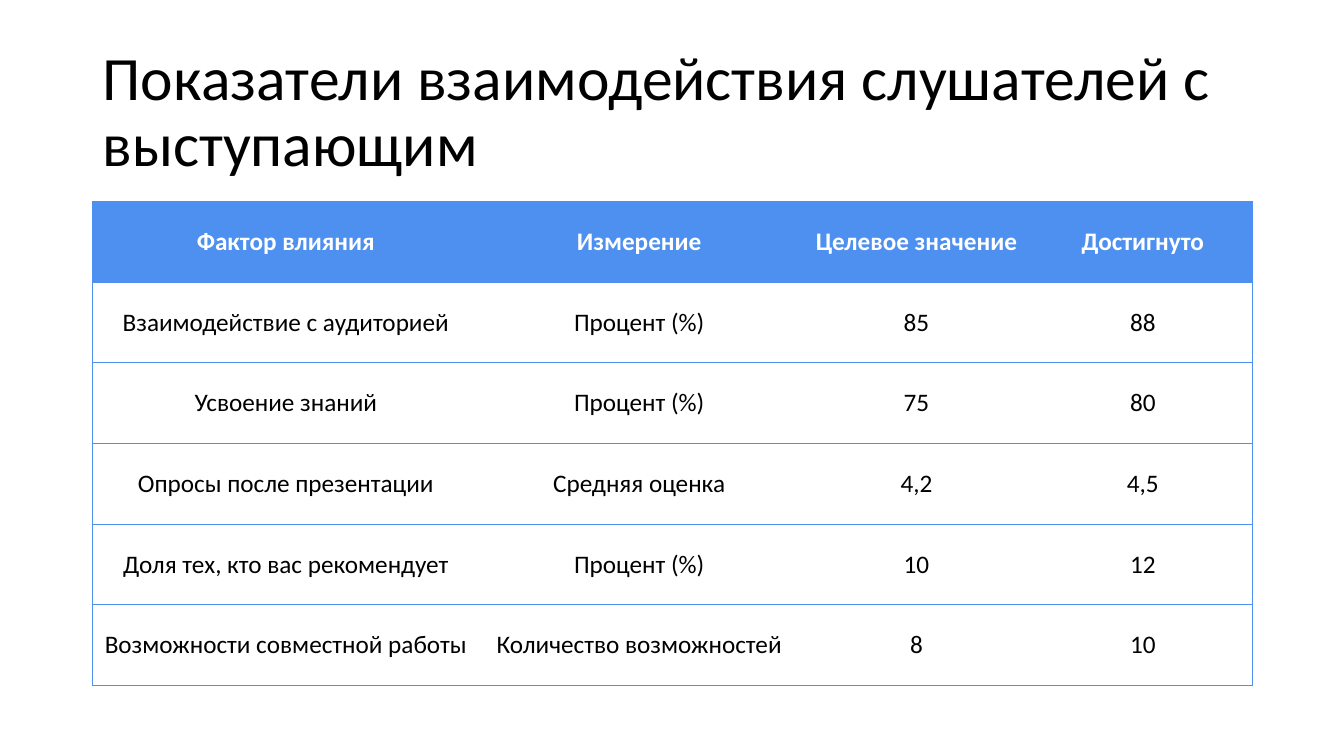
from lxml import etree
from pptx import Presentation
from pptx.dml.color import RGBColor
from pptx.enum import text
from pptx.oxml import ns
from pptx.util import Inches, Pt

BLUE = RGBColor(0x4D, 0x90, 0xEF)
WHITE = RGBColor(0xFF, 0xFF, 0xFF)
BLACK = RGBColor(0, 0, 0)
FONT = "Calibri"

TITLE = "Показатели взаимодействия слушателей с выступающим"
METRICS = [
    ("Фактор влияния", "Измерение", "Целевое значение", "Достигнуто"),
    ("Взаимодействие с аудиторией", "Процент (%)", "85", "88"),
    ("Усвоение знаний", "Процент (%)", "75", "80"),
    ("Опросы после презентации", "Средняя оценка", "4,2", "4,5"),
    ("Доля тех, кто вас рекомендует", "Процент (%)", "10", "12"),
    ("Возможности совместной работы", "Количество возможностей", "8", "10"),
]
COLUMN_WIDTHS = (3.83, 3.18, 2.32, 2.17)
ROW_HEIGHT = 0.8


def add_run(paragraph, wording, size, color, bold=False):
    run = paragraph.add_run()
    run.text = wording
    run.font.name = FONT
    run.font.size = Pt(size)
    run.font.bold = bold
    run.font.color.rgb = color


def add_title(slide):
    frame = slide.shapes.add_textbox(
        Inches(0.92), Inches(0.4), Inches(11.5), Inches(1.45)
    ).text_frame
    frame.word_wrap = True
    frame.vertical_anchor = text.MSO_ANCHOR.MIDDLE
    heading = frame.paragraphs[0]
    heading.line_spacing = 0.9
    add_run(heading, TITLE, 44, BLACK)


def set_borders(cell, visible_sides):
    properties = cell._tc.get_or_add_tcPr()
    for position, side in enumerate("LRTB"):
        line = etree.Element(ns.qn(f"a:ln{side}"), w=str(Pt(1)))
        if side in visible_sides:
            fill = etree.SubElement(line, ns.qn("a:solidFill"))
            etree.SubElement(fill, ns.qn("a:srgbClr"), val=str(BLUE))
        else:
            etree.SubElement(line, ns.qn("a:noFill"))
        properties.insert(position, line)


def fill_cell(cell, wording, is_header):
    cell.vertical_anchor = text.MSO_ANCHOR.MIDDLE
    if is_header:
        cell.fill.solid()
        cell.fill.fore_color.rgb = BLUE
    else:
        cell.fill.background()
    paragraph = cell.text_frame.paragraphs[0]
    paragraph.alignment = text.PP_ALIGN.CENTER
    add_run(paragraph, wording, 18, WHITE if is_header else BLACK, is_header)


def add_metrics_table(slide):
    table = slide.shapes.add_table(
        len(METRICS), len(COLUMN_WIDTHS), Inches(0.92), Inches(2),
        Inches(sum(COLUMN_WIDTHS)), Inches(ROW_HEIGHT * len(METRICS)),
    ).table
    table.horz_banding = False
    for column, width in zip(table.columns, COLUMN_WIDTHS):
        column.width = Inches(width)
    last_column = len(COLUMN_WIDTHS) - 1
    for row_index, metric in enumerate(METRICS):
        table.rows[row_index].height = Inches(ROW_HEIGHT)
        for column_index, wording in enumerate(metric):
            cell = table.cell(row_index, column_index)
            fill_cell(cell, wording, row_index == 0)
            outer_sides = {0: "L", last_column: "R"}.get(column_index, "")
            set_borders(cell, "TB" + outer_sides)


def main():
    deck = Presentation()
    deck.slide_width = Inches(13.33)
    deck.slide_height = Inches(7.5)
    slide = deck.slides.add_slide(deck.slide_layouts[6])
    add_title(slide)
    add_metrics_table(slide)
    deck.save("out.pptx")


if __name__ == "__main__":
    main()
